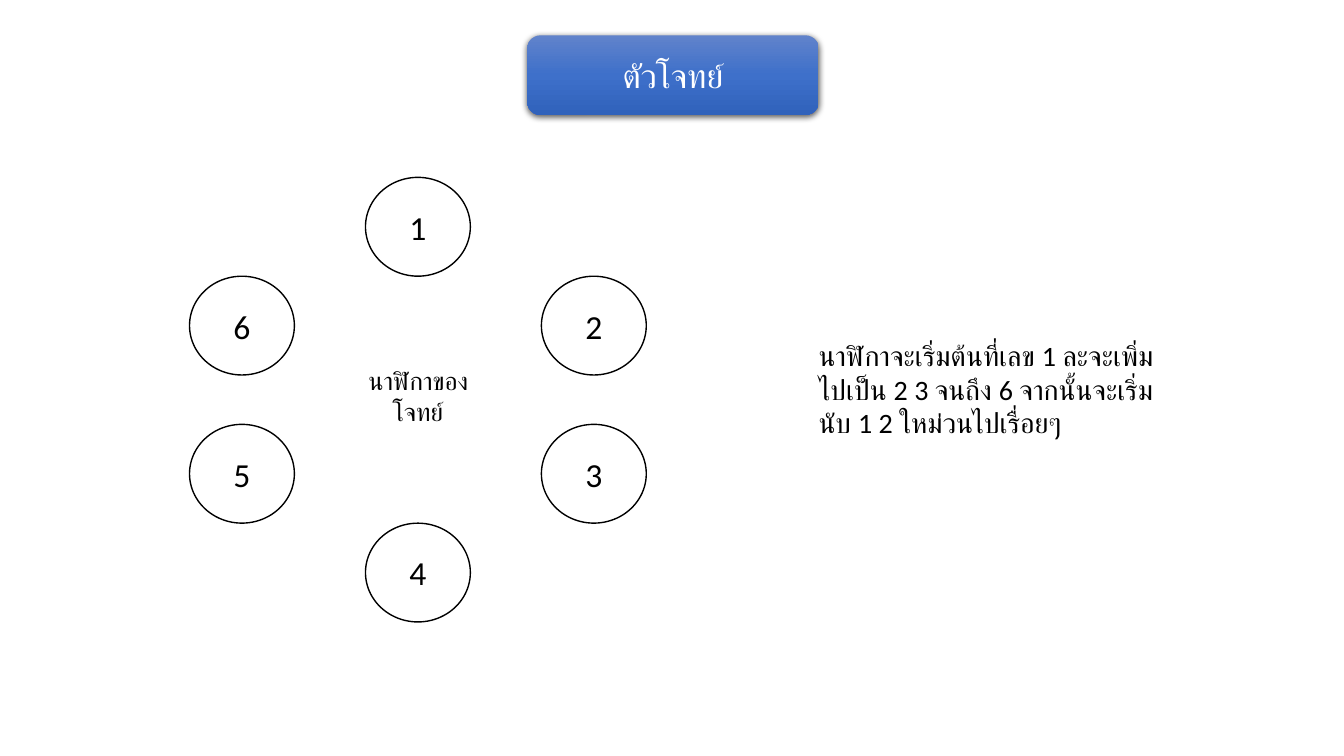
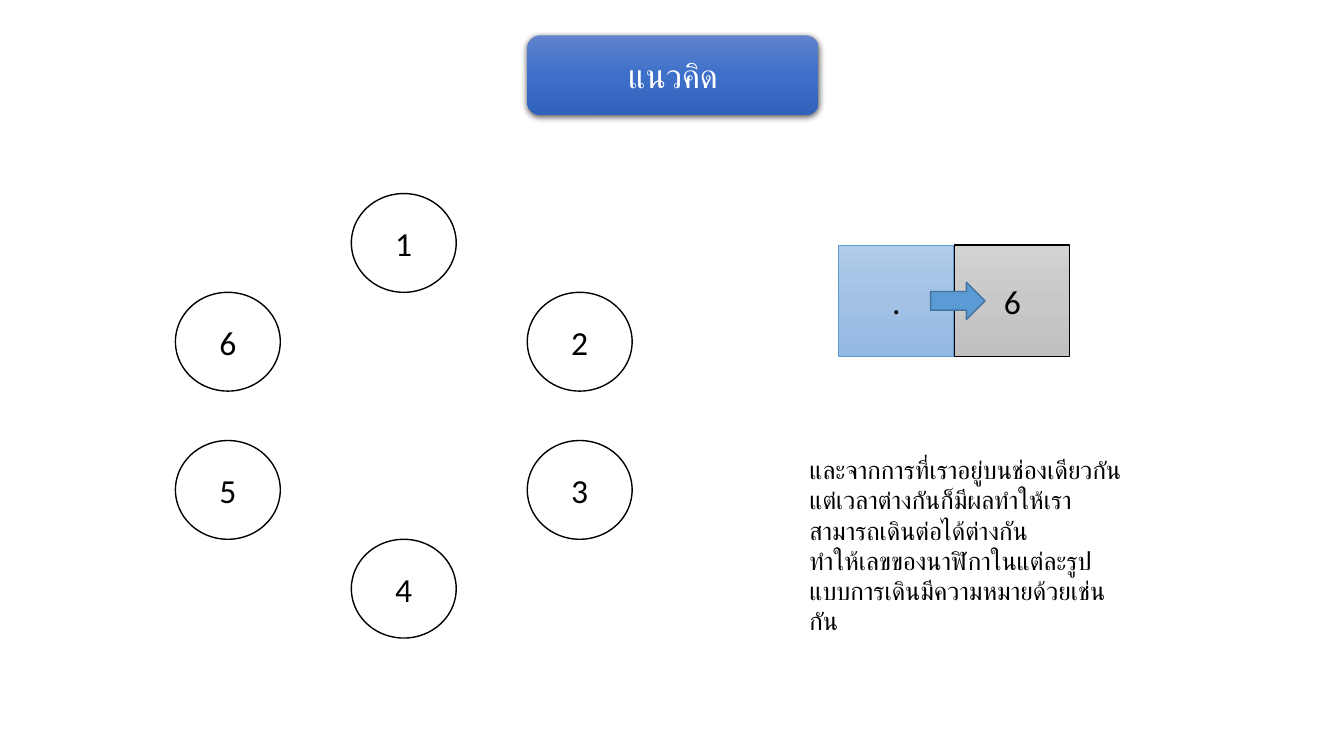
from copy import deepcopy

from lxml import etree
from pptx import Presentation
from pptx.dml.color import RGBColor
from pptx.enum.lang import MSO_LANGUAGE_ID
from pptx.enum.shapes import MSO_SHAPE
from pptx.enum.text import MSO_ANCHOR, MSO_AUTO_SIZE, PP_ALIGN
from pptx.oxml.ns import qn
from pptx.util import Inches, Pt

OVAL, RECT = MSO_SHAPE.OVAL, MSO_SHAPE.RECTANGLE
ROUNDED, ARROW = MSO_SHAPE.ROUNDED_RECTANGLE, MSO_SHAPE.RIGHT_ARROW
LEFT, CENTER = PP_ALIGN.LEFT, PP_ALIGN.CENTER
MIDDLE, GROW = MSO_ANCHOR.MIDDLE, MSO_AUTO_SIZE.SHAPE_TO_FIT_TEXT
THAI = MSO_LANGUAGE_ID.THAI

FONT = "Calibri"
BLACK, WHITE = "000000", "FFFFFF"
BLUE, DARK_BLUE = "5B9BD5", "43739E"
TITLE_FILL = ("6183CB", "3E70CA", "3062BB")
BLUE_FILL = ("B1CBE9", "A3C1E5", "93B9E4")
GRAY_FILL = ("D2D2D2", "C8C8C8", "C0C0C0")
TITLE_BOX = (5.23, 0.35, 2.89, 0.79)
RING_SIZE = (4.53, 4.41)
DIAL_W, DIAL_H = 1.04, 0.98
DIAL_SPOTS = ((0.5, 0), (1, 1), (1, 2.5), (0.5, 3.5), (0, 2.5), (0, 1))


def rgb(hex_color):
    """Turn a hex string into a colour."""
    return RGBColor.from_string(hex_color)


def write(tf, text, size=24, color=BLACK, align=CENTER):
    """Write text into a frame, one paragraph a line."""
    tf.word_wrap = True
    for i, line in enumerate(text.split("\n")):
        p = tf.paragraphs[0] if i == 0 else tf.add_paragraph()
        p.alignment = align
        r = p.add_run()
        r.text = line
        r.font.name, r.font.size = FONT, Pt(size)
        r.font.color.rgb = rgb(color)
        r.font.language_id = THAI


def set_gradient(s, colors):
    """Fill a shape from top to bottom with three evenly spaced colours."""
    s.fill.gradient()
    s.fill.gradient_angle = 270
    stops = s._element.spPr.find(".//" + qn("a:gsLst"))
    stops.insert(1, deepcopy(stops[0]))
    for i, (stop, color) in enumerate(zip(s.fill.gradient_stops, colors)):
        stop.color.rgb = rgb(color)
        stop.position = i / 2


def add_shape(slide, kind, box, fill, line=None, width=1, text="", color=BLACK):
    """Add a preset shape with a plain or gradient fill and centred text."""
    s = slide.shapes.add_shape(kind, *map(Inches, box))
    s.shadow.inherit = False
    if isinstance(fill, tuple):
        set_gradient(s, fill)
    else:
        s.fill.solid()
        s.fill.fore_color.rgb = rgb(fill)
    if line:
        s.line.color.rgb = rgb(line)
        s.line.width = Pt(width)
    else:
        s.line.fill.background()
    if text:
        s.text_frame.vertical_anchor = MIDDLE
        write(s.text_frame, text, color=color)
    return s


def add_text(slide, box, text, **fmt):
    """Add a wrapping text box that grows with its text."""
    tf = slide.shapes.add_textbox(*map(Inches, box)).text_frame
    write(tf, text, **fmt)
    tf.auto_size = GROW


def add_title(slide, text):
    """Add the shaded title button."""
    s = add_shape(slide, ROUNDED, TITLE_BOX, TITLE_FILL, text=text, color=WHITE)
    effects = s._element.spPr.find(qn("a:effectLst"))
    shadow = etree.SubElement(effects, qn("a:outerShdw"), blurRad=str(Pt(4.5)),
                              dist=str(Pt(1.5)), dir="5400000", rotWithShape="0")
    shade = etree.SubElement(shadow, qn("a:srgbClr"), val=BLACK)
    etree.SubElement(shade, qn("a:alpha"), val="63000")


def add_clock(slide, x, y):
    """Add the ring of six numbered circles with its top left at x, y."""
    span = RING_SIZE[0] - DIAL_W
    for number, (col, row) in enumerate(DIAL_SPOTS, 1):
        box = (x + col * span, y + row * DIAL_H, DIAL_W, DIAL_H)
        add_shape(slide, OVAL, box, WHITE, BLACK, text=str(number))


def add_step(slide, x, y):
    """Add two neighbouring cells and the arrow across their border."""
    w, h = 1.14, 1.11
    add_shape(slide, RECT, (x, y, w, h), BLUE_FILL, BLUE, 0.5, ".")
    add_shape(slide, RECT, (x + w + 0.01, y, w, h), GRAY_FILL, BLACK, text="6")
    add_shape(slide, ARROW, (x + 0.91, y + (h - 0.37) / 2, 0.54, 0.37), BLUE, DARK_BLUE)


def problem_slide(slide):
    """Build the slide that states the problem."""
    add_text(slide, (3.38, 3.58, 1.53, 0.4), "นาฬิกาของโจทย์", size=18)
    add_clock(slide, 1.88, 1.76)
    add_text(slide, (8.02, 3.31, 3.73, 0.77),
             "นาฬิกาจะเริ่มต้นที่เลข 1 ละจะเพิ่มไปเป็น 2 3 จนถึง 6 "
             "จากนั้นจะเริ่มนับ 1 2 ใหม่วนไปเรื่อยๆ", size=20, align=LEFT)
    add_title(slide, "ตัวโจทย์")


def idea_slide(slide):
    """Build the slide that explains the idea."""
    add_clock(slide, 1.74, 1.92)
    add_text(slide, (7.93, 4.46, 3.37, 1.31),
             "และจากการที่เราอยู่บนช่องเดียวกัน "
             "แต่เวลาต่างกันก็มีผลทำให้เราสามารถเดินต่อได้ต่างกัน\n"
             "ทำให้เลขของนาฬิกาในแต่ละรูปแบบการเดินมีความหมายด้วยเช่นกัน",
             size=18, align=LEFT)
    add_title(slide, "แนวคิด")
    add_step(slide, 8.32, 2.43)


def main():
    """Build and save the presentation."""
    prs = Presentation()
    prs.slide_width, prs.slide_height = Inches(13.33), Inches(7.5)
    for build in (problem_slide, idea_slide):
        build(prs.slides.add_slide(prs.slide_layouts[6]))
    prs.save("out.pptx")


if __name__ == "__main__":
    main()
